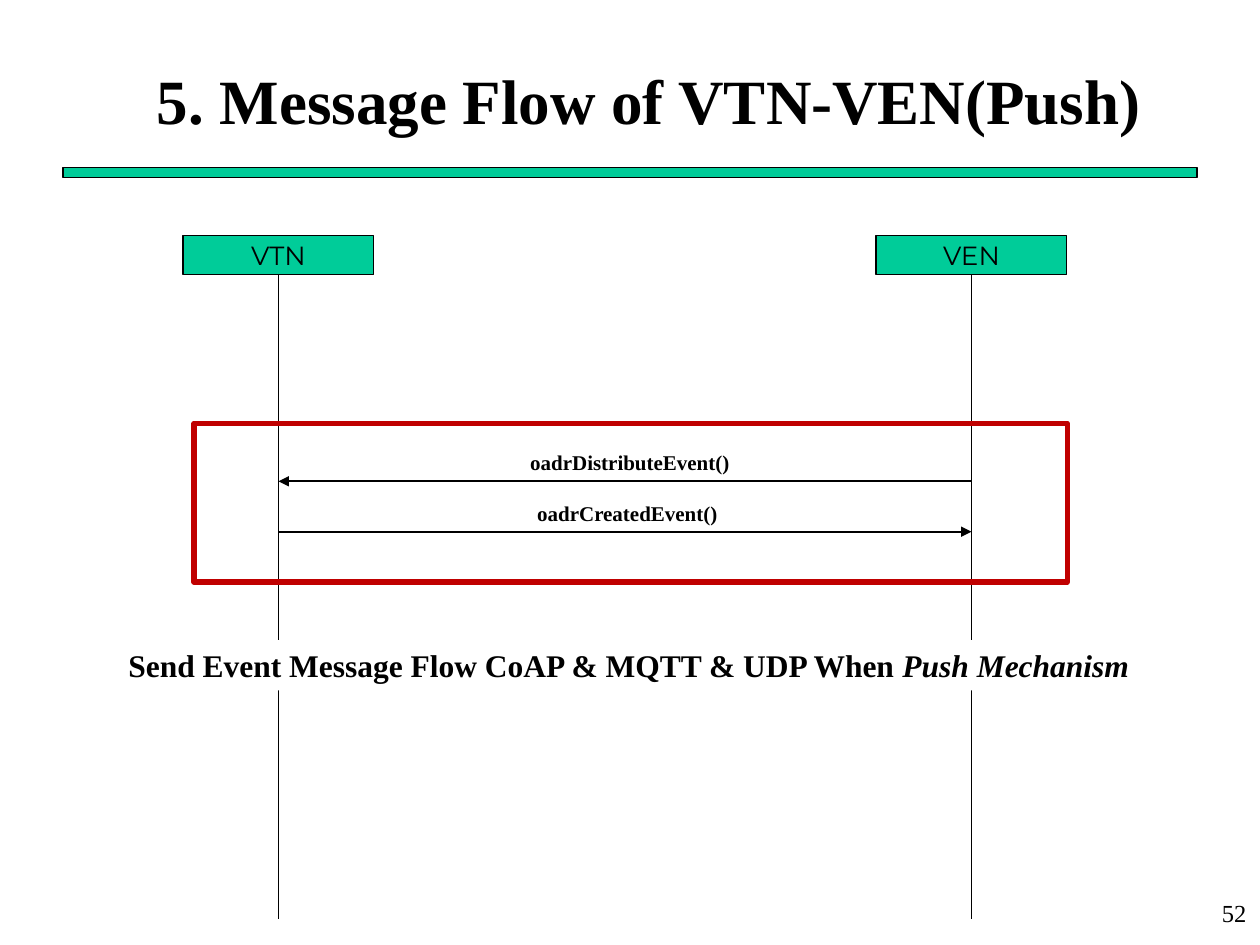
from lxml import etree
from pptx import Presentation
from pptx import util as u
from pptx.dml.color import RGBColor
from pptx.enum import shapes, text
from pptx.oxml.ns import qn

BLACK = RGBColor(0x00, 0x00, 0x00)
WHITE = RGBColor(0xFF, 0xFF, 0xFF)
GREEN = RGBColor(0x00, 0xCC, 0x99)
RED = RGBColor(0xC0, 0x00, 0x00)
SERIF, SANS = "Times New Roman", "Montserrat"
LEFT, CENTER, RIGHT = text.PP_ALIGN.LEFT, text.PP_ALIGN.CENTER, text.PP_ALIGN.RIGHT
TOP, MIDDLE = text.MSO_ANCHOR.TOP, text.MSO_ANCHOR.MIDDLE

TITLE = "5. Message Flow of VTN-VEN(Push)"
PAGE_NUMBER = "52"
ACTORS = {"VTN": 2.21, "VEN": 7.71}
MESSAGES = [
    ("oadrDistributeEvent()", "VEN", "VTN", 5.0),
    ("oadrCreatedEvent()", "VTN", "VEN", 4.98),
]
CAPTION = [
    ("Send Event Message Flow CoAP & MQTT & UDP When ", {"bold": True}),
    ("Push Mechanism", {"bold": True, "italic": True}),
]

ACTOR_TOP, ACTOR_WIDTH, ACTOR_HEIGHT = 1.87, 1.51, 0.31
LIFELINE_BOTTOM = 7.29
FIRST_MESSAGE, MESSAGE_GAP = 3.82, 0.4
LABEL_WIDTH, LABEL_HEIGHT = 2.04, 0.3

presentation = Presentation()
presentation.slide_width, presentation.slide_height = u.Inches(10), u.Inches(7.5)
slide = presentation.slides.add_slide(presentation.slide_layouts[6])


def inches(*values):
    return [u.Inches(value) for value in values]


def write(shape, runs, size, font=SERIF, align=CENTER, anchor=TOP, wrap=True):
    frame = shape.text_frame
    frame.word_wrap, frame.vertical_anchor = wrap, anchor
    paragraph = frame.paragraphs[0]
    paragraph.alignment = align
    for words, styles in runs:
        run = paragraph.add_run()
        run.text = words
        run.font.color.rgb = BLACK
        for name, value in {"name": font, "size": u.Pt(size), **styles}.items():
            setattr(run.font, name, value)


def add_text(box, runs, size, **layout):
    write(slide.shapes.add_textbox(*inches(*box)), runs, size, **layout)


def add_box(box, fill=None, line=None, weight=1):
    shape = slide.shapes.add_shape(shapes.MSO_SHAPE.RECTANGLE, *inches(*box))
    shape.shadow.inherit = False
    for part, color in ((shape.fill, fill), (shape.line.fill, line)):
        if color is None:
            part.background()
        else:
            part.solid()
            part.fore_color.rgb = color
    if line is not None:
        shape.line.width = u.Pt(weight)
    return shape


def add_line(start, end, arrow=False):
    line = slide.shapes.add_connector(
        shapes.MSO_CONNECTOR.STRAIGHT, *inches(*start, *end))
    line.line.color.rgb = BLACK
    line.line.width = u.Pt(1)
    properties = line._element.spPr
    if arrow:
        etree.SubElement(properties.find(qn("a:ln")), qn("a:tailEnd"), type="triangle")
    etree.SubElement(properties, qn("a:effectLst"))


add_box((0.5, 1.33, 9, 0.08), GREEN, BLACK, 0.75)
add_text((0.5, 0.33, 9.3, 0.92), [(TITLE, {"bold": True})], 36, anchor=MIDDLE)
add_text((7.91, 7.08, 2.08, 0.42), [(PAGE_NUMBER, {})], 14, align=RIGHT)

for actor, x in ACTORS.items():
    header = add_box((x - ACTOR_WIDTH / 2, ACTOR_TOP, ACTOR_WIDTH, ACTOR_HEIGHT),
                     GREEN, BLACK)
    write(header, [(actor, {})], 15, font=SANS, anchor=MIDDLE, wrap=False)
    add_line((x, ACTOR_TOP + ACTOR_HEIGHT), (x, LIFELINE_BOTTOM))

for row, (message, sender, receiver, center) in enumerate(MESSAGES):
    y = FIRST_MESSAGE + row * MESSAGE_GAP
    add_text((center - LABEL_WIDTH / 2, y - LABEL_HEIGHT, LABEL_WIDTH, LABEL_HEIGHT),
             [(message, {"bold": True})], 12)
    add_line((ACTORS[sender], y), (ACTORS[receiver], y), arrow=True)

add_box((1.54, 3.36, 6.93, 1.26), line=RED, weight=3)
write(add_box((0.92, 5.08, 8.19, 0.4), WHITE), CAPTION, 18, align=LEFT, wrap=False)

presentation.save("out.pptx")
